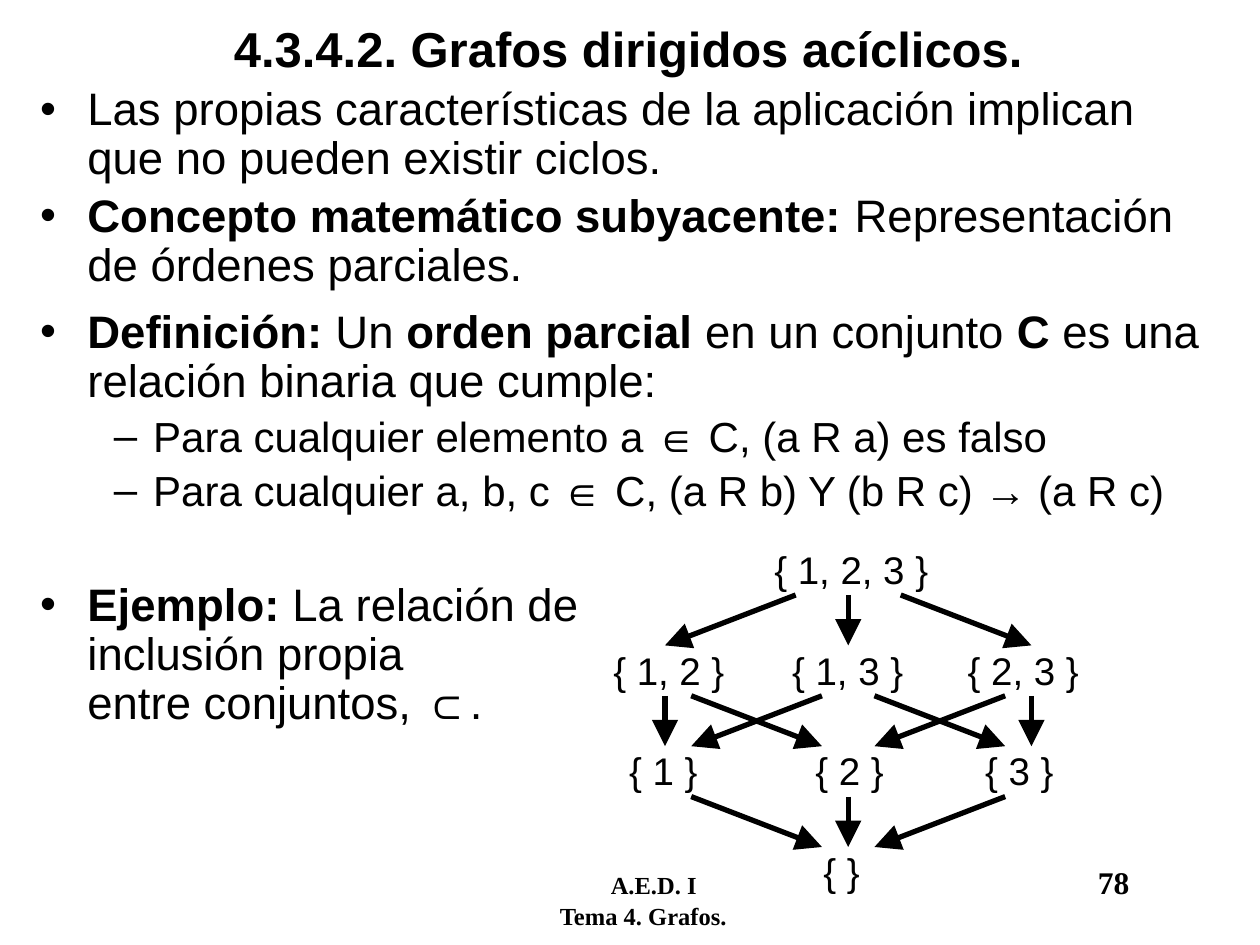
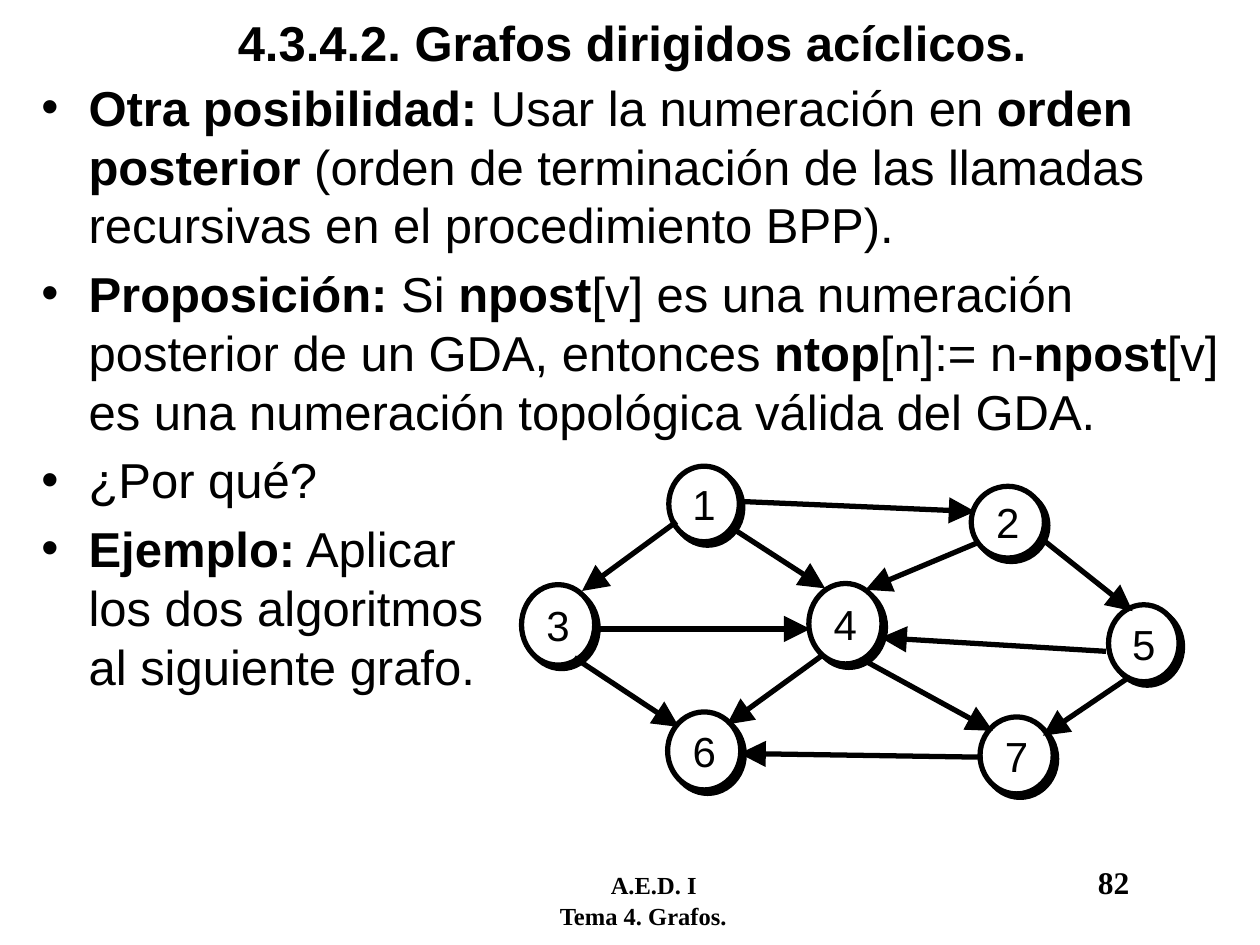
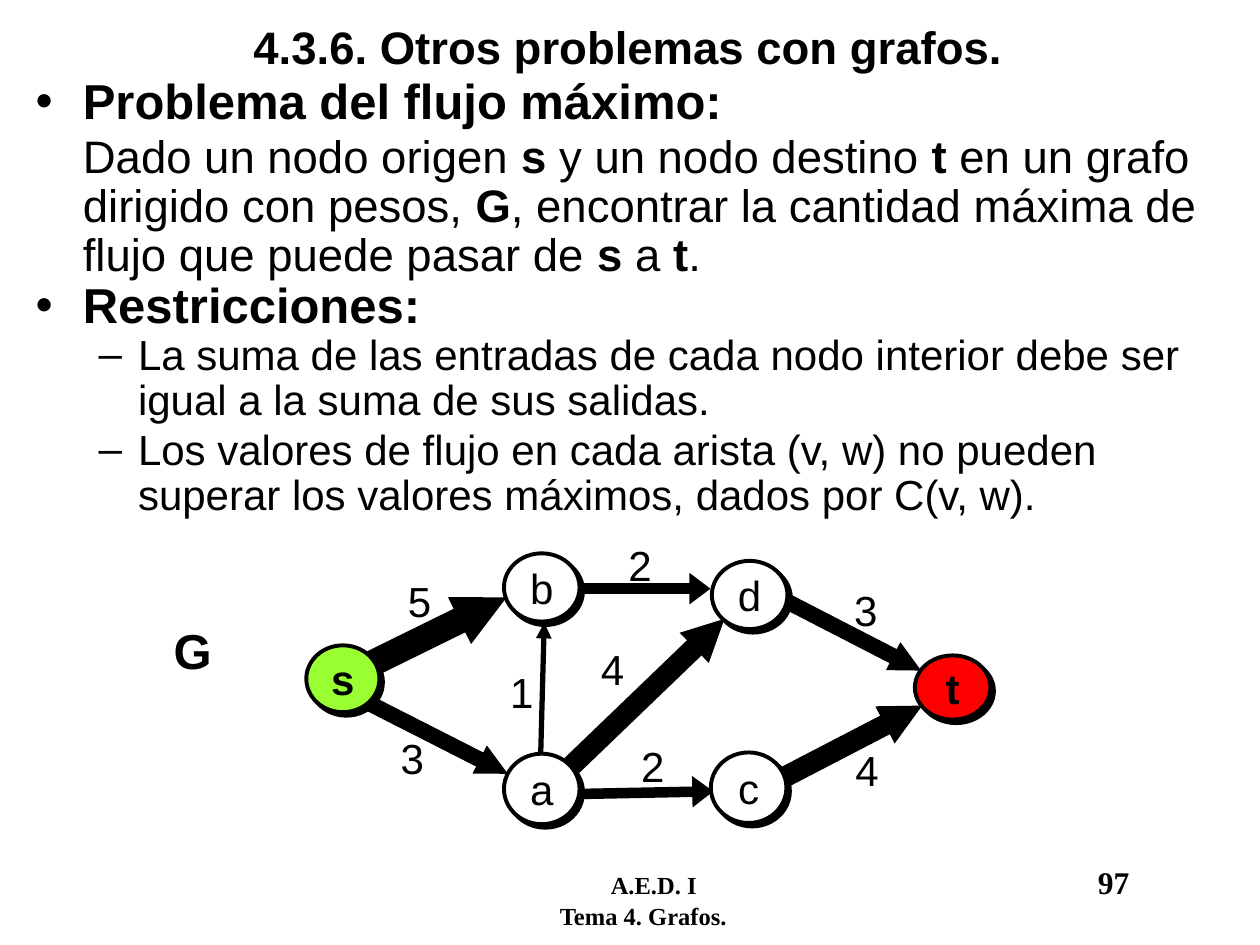
from lxml import etree
from pptx import Presentation
from pptx.dml.color import RGBColor
from pptx.enum.shapes import MSO_CONNECTOR as Conn, MSO_SHAPE as Shape
from pptx.enum.text import MSO_ANCHOR as Anchor, PP_ALIGN as Align
from pptx.oxml.ns import qn
from pptx.util import Pt

SANS, SERIF = "Arial", "Times New Roman"
BLACK, WHITE, GREEN, RED = "000000", "FFFFFF", "99FF33", "FF0000"
DAG = "4.3.4.2. Grafos dirigidos acíclicos."
# Arrowhead sizes: width, length
LARGE, MID, SHORT, SMALL = ("lg", "lg"), ("med", "med"), ("med", "sm"), ("sm", "sm")


# Shared helpers
def paint(color, code):
    color.rgb = RGBColor.from_string(code)


def style(par, size, bold=False, face=SANS):
    par.font.size, par.font.bold, par.font.name = Pt(size), bold, face
    paint(par.font.color, BLACK)


def sub(parent, tag, **attrs):
    node = etree.SubElement(parent, qn(tag))
    for key, val in attrs.items():
        node.set(key, str(val))
    return node


def add_text(slide, box, inset=None):
    frame = slide.shapes.add_textbox(*map(Pt, box)).text_frame
    frame.word_wrap = True
    if inset is not None:
        frame.margin_left = frame.margin_right = Pt(inset)
        frame.margin_top = frame.margin_bottom = Pt(inset / 2)
    return frame


def label(slide, box, text, size, bold=False, inset=None):
    par = add_text(slide, box, inset).paragraphs[0]
    par.text = text
    style(par, size, bold)


def arrow(slide, x1, y1, x2, y2, width=3, tip=LARGE):
    line = slide.shapes.add_connector(Conn.STRAIGHT, Pt(x1), Pt(y1), Pt(x2), Pt(y2))
    line.line.width = Pt(width)
    paint(line.line.color, BLACK)
    sub(line.line._get_or_add_ln(), "a:tailEnd", type="triangle", w=tip[0], len=tip[1])
    sub(line._element.spPr, "a:effectLst")


# Title and footer
def add_page(deck, title, size, box, number):
    slide = deck.slides.add_slide(deck.slide_layouts[5])
    foot = add_text(slide, (260.64, 489.6, 417.6, 36))
    rows = (("\tA.E.D. I\t", (81.3, 359.6)), ("\tTema 4. Grafos.", (52.2,)))
    for i, (text, stops) in enumerate(rows):
        par = foot.add_paragraph() if i else foot.paragraphs[0]
        par.add_run().text = text
        style(par, 14, True, SERIF)
        tabs = sub(par._p.get_or_add_pPr(), "a:tabLst")
        for stop in stops:
            sub(tabs, "a:tab", pos=int(Pt(stop)), algn="l")
        # Tab stops come before the default run settings
        props = par._p.get_or_add_pPr()
        props.append(props.find(qn("a:defRPr")))
    page = foot.paragraphs[0].add_run()
    page.text = str(number)
    page.font.size = Pt(18)

    head = slide.shapes.title
    head.left, head.top, head.width, head.height = map(Pt, box)
    head.text_frame.text = title
    head.text_frame.vertical_anchor = Anchor.MIDDLE
    par = head.text_frame.paragraphs[0]
    par.alignment = Align.CENTER
    style(par, size, True)
    return slide


# Bulleted body: rows of (mark, size, space before, text), bold between **
def add_body(slide, box, rows, spacing, deep=64.6):
    frame = add_text(slide, box)
    for i, (mark, size, before, text) in enumerate(rows):
        par = frame.add_paragraph() if i else frame.paragraphs[0]
        style(par, size)
        par.line_spacing, par.space_before = spacing, Pt(before)
        left, hang = (deep, 22.5) if mark == "–" else (27, 27)
        props = par._p.get_or_add_pPr()
        props.set("marL", str(int(Pt(left))))
        props.set("indent", str(-int(Pt(hang)) if mark else 0))
        if mark:
            sub(props, "a:buFont", typeface=SANS)
            sub(props, "a:buChar", char=mark)
            # Bullet settings come before the default run settings
            props.append(props.find(qn("a:defRPr")))
        for j, part in enumerate(text.split("**")):
            for k, piece in enumerate(part.split("\n")):
                if k:
                    par.add_line_break()
                if piece:
                    run = par.add_run()
                    run.text = piece
                    run.font.bold = j % 2 == 1


# Subset lattice
def add_lattice(slide, x, y):
    pitch, gap, col = 57.6, 28.8, 104.7
    sets = (
        ((92, 107, "{ 1, 2, 3 }"),),
        ((0, 75, "{ 1, 2 }"), (102.2, 75, "{ 1, 3 }"), (202.5, 75, "{ 2, 3 }")),
        ((9, 45, "{ 1 }"), (115.5, 45, "{ 2 }"), (212.5, 45, "{ 3 }")),
        ((120, 45, "{ }"),),
    )
    for row, items in enumerate(sets):
        for left, width, text in items:
            label(slide, (x + left, y + row * pitch, width, 28), text, 22, inset=1.5)

    # Each level: column pairs, shift at the start, shift at the end
    levels = (
        (((1, 0), (1, 1), (1, 2)), 30, 0),
        (((0, 0), (0, 1), (1, 0), (1, 2), (2, 1), (2, 2)), 15, 15),
        (((0, 1), (1, 1), (2, 1)), 15, 15),
    )
    for row, (pairs, out, back) in enumerate(levels):
        top = y + gap + row * pitch
        for a, b in pairs:
            side = b - a
            arrow(slide, x + 31 + a * col + out * side, top,
                  x + 31 + b * col - back * side, top + gap)


# Graph parts
def add_nodes(slide, x, y, nodes, width, fills={}):
    for name, left, top, wide, high in nodes:
        node = slide.shapes.add_shape(
            Shape.OVAL, Pt(x + left), Pt(y + top), Pt(wide), Pt(high))
        node.fill.solid()
        paint(node.fill.fore_color, fills.get(name, WHITE))
        node.line.width = Pt(width)
        paint(node.line.color, BLACK)
        node.shadow.inherit = False
        cast = sub(node._element.spPr.find(qn("a:effectLst")), "a:outerShdw",
                   dist=int(Pt(2.8)), dir=45 * 60000, algn="ctr", rotWithShape=0)
        sub(cast, "a:srgbClr", val=BLACK)
        frame = node.text_frame
        frame.word_wrap = False
        frame.vertical_anchor = Anchor.MIDDLE
        par = frame.paragraphs[0]
        par.text, par.alignment = name, Align.CENTER
        style(par, 24, name in fills)


def add_edges(slide, x, y, edges):
    for x1, y1, x2, y2, *look in edges:
        arrow(slide, x + x1, y + y1, x + x2, y + y2, *look)


# Slides
def order_slide(deck):
    slide = add_page(deck, DAG, 28, (23, 0, 672, 54.7), 78)
    add_body(slide, (15.84, 45.9, 685.44, 410.4), (
        ("•", 26, 4.7, "Las propias características de la aplicación implican "
         "que no pueden existir ciclos."),
        ("•", 26, 4.7, "**Concepto matemático subyacente:** Representación "
         "de órdenes parciales."),
        ("•", 26, 10.4, "**Definición:** Un **orden parcial** en un conjunto **C** "
         "es una relación binaria que cumple:"),
        ("–", 24, 5, "Para cualquier elemento a ∈ C, (a R a) es falso"),
        ("–", 24, 5, "Para cualquier a, b, c ∈ C, (a R b) Y (b R c) → (a R c)"),
        ("•", 26, 37.8, "**Ejemplo:** La relación de\ninclusión propia\n"
         "entre conjuntos, **⊂**."),
    ), 0.9)
    add_lattice(slide, 349, 311.2)


def topo_slide(deck):
    slide = add_page(deck, DAG, 28, (25.2, 0, 672, 47.5), 82)
    add_body(slide, (16.56, 40.6, 703.44, 440), (
        ("•", 28, 5.6, "**Otra posibilidad:** Usar la numeración en **orden posterior** "
         "(orden de terminación de las llamadas recursivas en el procedimiento BPP)."),
        ("•", 28, 5.6, "**Proposición:** Si **npost**[v] es una numeración posterior de un "
         "GDA, entonces **ntop**[n]:= n-**npost**[v] es una numeración topológica "
         "válida del GDA."),
        ("•", 28, 5.6, "¿Por qué?"),
        ("•", 28, 5.6, "**Ejemplo:** Aplicar\nlos dos algoritmos\nal siguiente grafo."),
    ), 1.0)
    nodes = (
        ("1", 84.2, 0, 40.3, 43.2), ("2", 257, 11.5, 41.8, 41),
        ("3", 0, 67.7, 41.8, 46), ("4", 164.2, 67, 41.8, 46),
        ("5", 335.5, 79.2, 40.3, 44), ("6", 83.5, 140.4, 41.8, 44.6),
        ("7", 262, 143.3, 41.8, 44),
    )
    edges = (
        (126, 20.2, 259.2, 25.9), (296.6, 41, 349.2, 82.8),
        (260, 44, 196.6, 70.6), (120.2, 35.3, 173.5, 69.8),
        (334, 105.8, 205.2, 98), (88.6, 31.7, 34.6, 71.3),
        (43.2, 93, 165, 93), (172, 108, 117.4, 147.6),
        (195.8, 111, 269.3, 151.2), (345.6, 121.7, 298, 154),
        (263.5, 166.3, 124.6, 164.2), (30.2, 109.4, 90, 149),
    )
    add_nodes(slide, 298, 266.4, nodes, 3)
    add_edges(slide, 298, 266.4, edges)


def flow_slide(deck):
    slide = add_page(deck, "4.3.6. Otros problemas con grafos.", 26,
                     (23, 0, 672, 52.6), 97)
    add_body(slide, (13.3, 40.32, 688.32, 278.6), (
        ("•", 28, 5, "**Problema del flujo máximo:**"),
        ("", 26, 2.4, "Dado un nodo origen **s** y un nodo destino **t** en un grafo "
         "dirigido con pesos, **G**, encontrar la cantidad máxima de flujo que puede "
         "pasar de **s** a **t**."),
        ("•", 28, 0, "**Restricciones:**"),
        ("–", 24, 0, "La suma de las entradas de cada nodo interior debe ser igual a "
         "la suma de sus salidas."),
        ("–", 24, 2.4, "Los valores de flujo en cada arista (v, w) no pueden superar "
         "los valores máximos, dados por C(v, w)."),
    ), 0.9, 58.5)
    x, y = 175, 316.2
    nodes = (
        ("s", 0, 52.6, 41.8, 38.2), ("t", 347.8, 58.3, 43.2, 36.7),
        ("a", 113, 114.5, 43.2, 40.3), ("c", 231.2, 113.8, 43.2, 40.3),
        ("b", 113, 0, 43.2, 39), ("d", 231.8, 4.3, 43.2, 39),
    )
    edges = (
        (36, 85.7, 115.2, 126, 9, SMALL), (36.7, 63.4, 114.5, 25.2, 15, SMALL),
        (134, 114.5, 136, 39.6, 3, MID), (148.3, 124.6, 239, 37.4, 12, SMALL),
        (156.2, 20.2, 231, 20.2, 6, SHORT), (157, 137.5, 232.6, 136, 6, SHORT),
        (270, 129.6, 352, 87, 12, SMALL), (273, 26.6, 351.4, 67, 9, SMALL),
    )
    costs = (
        ("5", 51, 9.4), ("3", 46.8, 98.6), ("2", 184.3, 103.7), ("4", 161.3, 48.2),
        ("1", 109.4, 61.2), ("2", 177, -11.5), ("3", 306, 14.4), ("4", 306.7, 105.8),
    )
    add_edges(slide, x, y, edges)
    for text, left, top in costs:
        label(slide, (x + left, y + top, 34.6, 36), text, 24)
    add_nodes(slide, x, y, nodes, 2.25, {"s": GREEN, "t": RED})
    label(slide, (x - 82.8, y + 34.6, 52.6, 41), "G", 28, True)


def main():
    deck = Presentation()
    deck.slide_width, deck.slide_height = Pt(720), Pt(540)
    for build in (order_slide, topo_slide, flow_slide):
        build(deck)
    deck.save("out.pptx")


if __name__ == "__main__":
    main()
